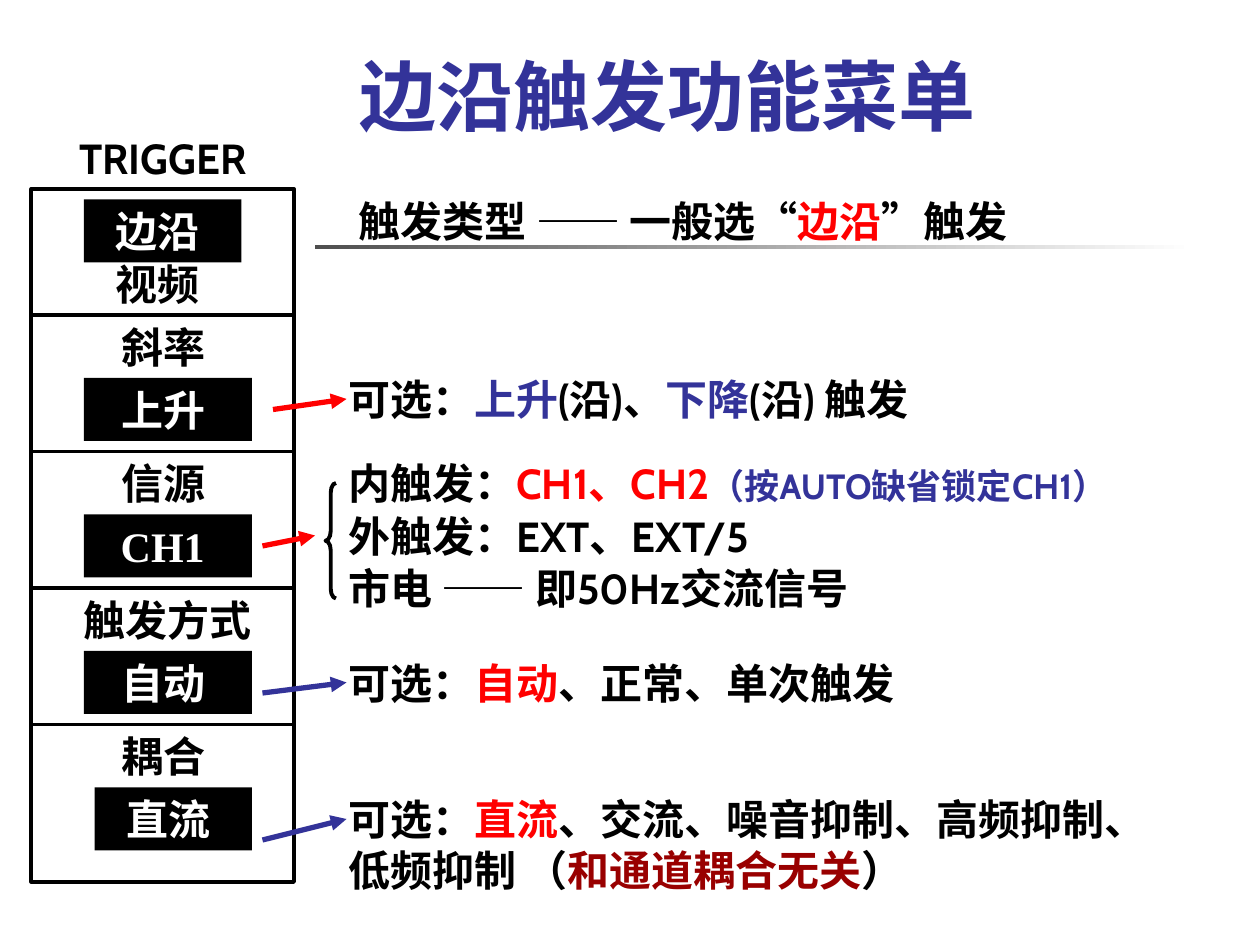
import pptx
import pptx.dml.color
import pptx.enum.dml
import pptx.enum.shapes
import pptx.enum.text
import pptx.oxml
import pptx.util
from pptx.util import Pt

SHAPE = pptx.enum.shapes.MSO_SHAPE
ALIGN = pptx.enum.text.PP_ALIGN
COLORS = {
    "black": "000000", "white": "FFFFFF", "red": "FF0000",
    "blue": "333399", "maroon": "990000", "rule": "1C1C1C",
}
SANS, SERIF = "Cabin", "Times New Roman"
NS = 'xmlns:a="http://schemas.openxmlformats.org/drawingml/2006/main"'

PANEL_LEFT, PANEL_RIGHT = 18, 168
DIVIDERS = [180, 258, 336, 414]

# text, font, (left, top, width), selected
MENU = [
    ("TRIGGER", SANS, (12, 72, 162), False),
    ("边沿 ", SERIF, (48, 114, 90), True),
    ("视频 ", SERIF, (36, 144, 114), False),
    ("斜率 ", SERIF, (48, 180, 96), False),
    ("上升 ", SERIF, (48, 216, 96), True),
    ("信源 ", SERIF, (18, 258, 156), False),
    ("CH1 ", SERIF, (48, 294, 96), True),
    ("触发方式", SANS, (18, 336, 156), False),
    ("自动 ", SERIF, (48, 372, 96), True),
    ("耦合 ", SERIF, (30, 414, 132), False),
    ("直流 ", SERIF, (54, 450, 90), True),
]

# (left, top, width, height), lines of runs; a run is text and its format
NOTES = [
    ((198, 108, 432, 36), [[
        ("触发类型 ", {}), ("——", {"name": SERIF}), (" 一般选", {}),
        ("“", {"name": SERIF}), ("边沿", {"color": "red"}),
        ("”", {"name": SERIF}), ("触发", {})]]),
    ((192, 210, 432, 36), [[
        ("可选：", {}), ("上升", {"color": "blue"}), ("(沿)、", {}),
        ("下降", {"color": "blue"}), ("(沿) 触发", {})]]),
    ((192, 258, 508, 36), [[
        ("内触发：", {}), ("CH1、CH2", {"color": "red"}),
        ("（按AUTO缺省锁定CH1）", {"color": "blue", "size": Pt(20)})]]),
    ((192, 288, 432, 36), [[("外触发：EXT、EXT/5", {})]]),
    ((192, 318, 432, 36), [[
        ("市电 ", {}), ("——", {"name": SERIF}), (" 即50Hz交流信号", {})]]),
    ((192, 372, 432, 36), [[
        ("可选：", {}), ("自动", {"color": "red"}), ("、正常、单次触发", {})]]),
    ((192, 450, 504, 65), [
        [("可选：", {}), ("直流", {"color": "red"}),
         ("、交流、噪音抑制、高频抑制、", {})],
        [("低频抑制 （", {}), ("和通道耦合无关", {"color": "maroon"}), ("）", {})]]),
]

ARROWS = [
    ((156, 234, 198, 228), "red"),
    ((150, 312, 180, 306), "red"),
    ((150, 396, 198, 390), "blue"),
    ((150, 480, 198, 468), "blue"),
]


def rgb(name):
    return pptx.dml.color.RGBColor.from_string(COLORS[name])


def add_run(p, text, **changes):
    fmt = {"name": SANS, "size": Pt(24), "bold": True, "color": "black", **changes}
    r = p.add_run()
    r.text = text
    r.font.color.rgb = rgb(fmt.pop("color"))
    for key, value in fmt.items():
        setattr(r.font, key, value)


def write_lines(sp, lines, align=ALIGN.LEFT):
    tf = sp.text_frame
    frame_format = {
        "word_wrap": True,
        "auto_size": pptx.enum.text.MSO_AUTO_SIZE.SHAPE_TO_FIT_TEXT,
        "vertical_anchor": pptx.enum.text.MSO_ANCHOR.TOP,
    }
    for key, value in frame_format.items():
        setattr(tf, key, value)
    p = tf.paragraphs[0]
    p.alignment = align
    for i, line in enumerate(lines):
        if i:
            p.add_line_break()
        for text, changes in line:
            add_run(p, text, **changes)


def add_shape(s, kind, box, fill=None, line=None):
    sp = s.shapes.add_shape(kind, *map(Pt, box))
    sp.shadow.inherit = False
    if fill:
        sp.fill.solid()
        sp.fill.fore_color.rgb = rgb(fill)
    else:
        sp.fill.background()
    if line:
        sp.line.color.rgb = rgb(line)
        sp.line.width = Pt(2.25)
    else:
        sp.line.fill.background()
    return sp


def add_line(s, ends, color, width, arrow=False):
    kind = pptx.enum.shapes.MSO_CONNECTOR.STRAIGHT
    c = s.shapes.add_connector(kind, *map(Pt, ends))
    c.line.color.rgb = rgb(color)
    c.line.width = Pt(width)
    if arrow:
        ln = c.line._get_or_add_ln()
        ln.append(pptx.oxml.parse_xml(f'<a:tailEnd {NS} type="triangle"/>'))
    c._element.spPr.append(pptx.oxml.parse_xml(f"<a:effectLst {NS}/>"))


def add_title(s, text):
    title = s.shapes.title
    box = {"left": 198, "top": 24, "width": 426, "height": 60}
    for key, value in box.items():
        setattr(title, key, Pt(value))
    title.text_frame.vertical_anchor = pptx.enum.text.MSO_ANCHOR.BOTTOM
    p = title.text_frame.paragraphs[0]
    p.alignment = ALIGN.LEFT
    add_run(p, text, size=Pt(44), color="blue")


def add_rule(s):
    """Thin horizontal bar that fades out to the right."""
    sp = add_shape(s, SHAPE.RECTANGLE, (34.5, 140.25, 648, 2.25))
    sp.fill.gradient()
    sp.fill.gradient_angle = 0
    for stop, color in zip(sp.fill.gradient_stops, ("rule", "white")):
        stop.color.rgb = rgb(color)


def add_menu(s):
    add_shape(s, SHAPE.RECTANGLE, (6, 66, 174, 450), fill="white")
    for text, font, (left, top, width), selected in MENU:
        box = (left, top, width, 36)
        if selected:
            sp = add_shape(s, SHAPE.RECTANGLE, box, fill="black")
        else:
            sp = s.shapes.add_textbox(*map(Pt, box))
        color = "white" if selected else "black"
        write_lines(sp, [[(text, {"name": font, "color": color})]], ALIGN.CENTER)
    frame = (PANEL_LEFT, 108, PANEL_RIGHT - PANEL_LEFT, 396)
    add_shape(s, SHAPE.RECTANGLE, frame, line="black")
    for y in DIVIDERS:
        add_line(s, (PANEL_LEFT, y, PANEL_RIGHT, y), "black", 2.25)


def main():
    prs = pptx.Presentation()
    prs.slide_width, prs.slide_height = Pt(720), Pt(540)
    s = prs.slides.add_slide(prs.slide_layouts[5])
    add_title(s, "边沿触发功能菜单")
    add_rule(s)
    add_menu(s)
    for box, lines in NOTES:
        write_lines(s.shapes.add_textbox(*map(Pt, box)), lines)
    brace = add_shape(s, SHAPE.LEFT_BRACE, (186, 276, 6, 66), line="black")
    brace.adjustments[0] = 0.92
    for ends, color in ARROWS:
        add_line(s, ends, color, 3, arrow=True)
    prs.save("out.pptx")


if __name__ == "__main__":
    main()
